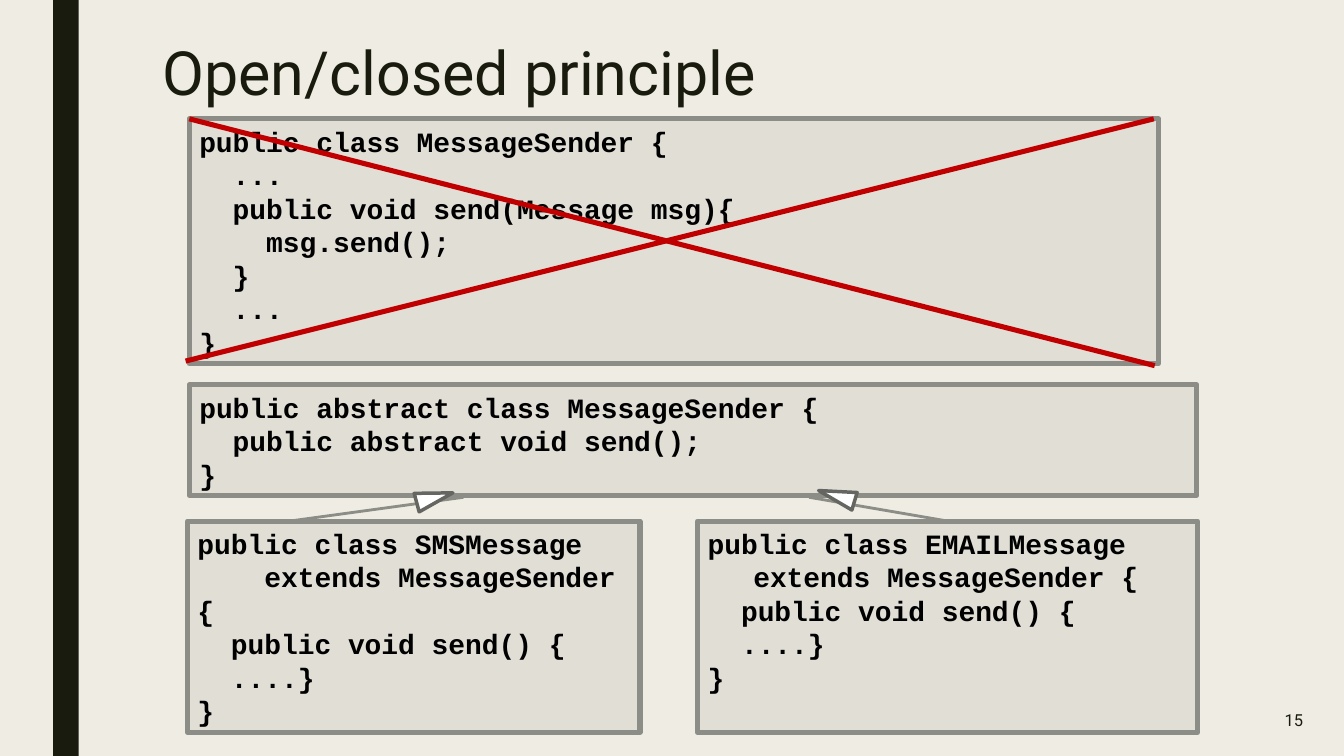
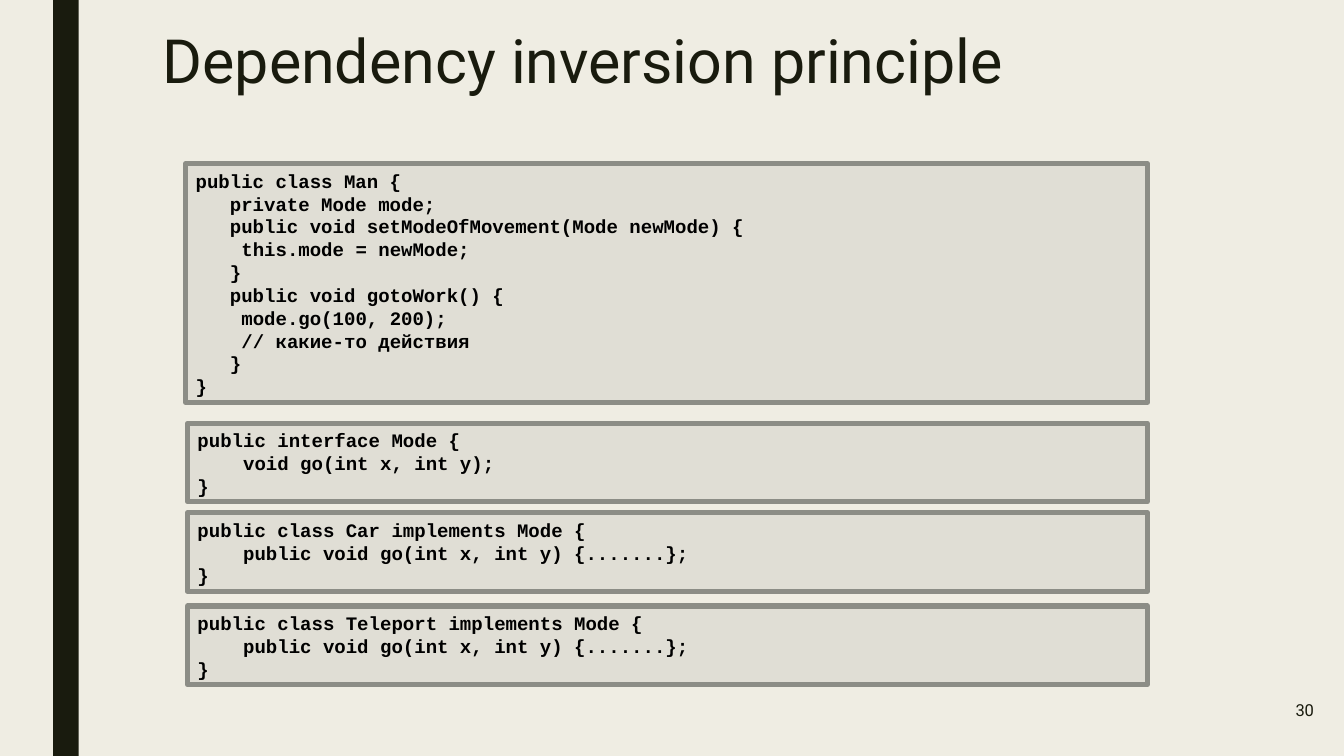
import lxml.etree
import pptx
import pptx.dml.color
import pptx.enum.shapes
import pptx.enum.text
import pptx.oxml.ns
import pptx.util

Inches = pptx.util.Inches
Pt = pptx.util.Pt
qn = pptx.oxml.ns.qn
SHAPE = pptx.enum.shapes.MSO_SHAPE
STRAIGHT = pptx.enum.shapes.MSO_CONNECTOR.STRAIGHT
ANCHOR = pptx.enum.text.MSO_ANCHOR
ALIGN = pptx.enum.text.PP_ALIGN
AUTO_SIZE = pptx.enum.text.MSO_AUTO_SIZE

COLORS = {
    "background": "EFEDE3",
    "ink": "191B0E",
    "frame": "8C8D86",
    "code": "000000",
    "cross": "C00000",
    "arrowhead": "FFFFFF",
    "arrow_edge": "656661",
}
CODE_OPACITY = 15
TAB_STOP = 0.5

SLIDES = [
    {
        "title": ("Open/closed principle", 0.43, 0.87),
        "number": ("15", 13.73, 7.66, 0.62, 0.42),
        "code_size": 22,
        "listings": [
            ((2.07, 1.3, 10.6, 2.68), """public class MessageSender {
  ...
  public void send(Message msg){
    msg.send();
  }
  ...
}"""),
            ((2.07, 4.21, 11.02, 1.21), """public abstract class MessageSender {
  public abstract void send();
}"""),
            ((2.05, 5.7, 4.95, 2.31), """public class SMSMessage
    extends MessageSender {
  public void send() {
  ....}
}"""),
            ((7.63, 5.7, 5.47, 2.31), """public class EMAILMessage
\textends MessageSender {
  public void send() {
  ....}
}"""),
        ],
    },
    {
        "title": ("Dependency inversion principle", 0.3, 1.07),
        "number": ("30", 13.02, 7.52, 1.45, 0.49),
        "code_size": 15,
        "listings": [
            ((2.03, 1.79, 10.52, 2.61), """public class Man {
   private Mode mode;
   public void setModeOfMovement(Mode newMode) {
\tthis.mode = newMode;
   }
   public void gotoWork() {
\tmode.go(100, 200);
\t// какие-то действия
   }
}"""),
            ((2.05, 4.63, 10.5, 0.86), """public interface Mode {
    void go(int x, int y);
}"""),
            ((2.05, 5.61, 10.5, 0.86), """public class Car implements Mode {
    public void go(int x, int y) {.......};
}"""),
            ((2.05, 6.63, 10.5, 0.86), """public class Teleport implements Mode {
    public void go(int x, int y) {.......};
}"""),
        ],
    },
]


def rgb(name):
    return pptx.dml.color.RGBColor.from_string(COLORS[name])


def style_font(paragraph, face, size, color, bold=False):
    paragraph.font.name = face
    paragraph.font.size = Pt(size)
    paragraph.font.bold = bold
    paragraph.font.color.rgb = rgb(color)


prs = pptx.Presentation()
prs.slide_width = Inches(14.7)
prs.slide_height = Inches(8.27)
prs.slide_master.background.fill.solid()
prs.slide_master.background.fill.fore_color.rgb = rgb("background")

code_boxes = []
for content in SLIDES:
    slide = prs.slides.add_slide(prs.slide_layouts[6])

    band = slide.shapes.add_shape(SHAPE.RECTANGLE, Inches(0.58), 0, Inches(0.28), prs.slide_height)
    band.shadow.inherit = False
    band.fill.solid()
    band.fill.fore_color.rgb = rgb("ink")
    band.line.fill.background()

    heading, top, height = content["title"]
    title = slide.shapes.add_textbox(Inches(1.68), Inches(top), Inches(11.57), Inches(height))
    title.text_frame.word_wrap = True
    title.text_frame.text = heading
    title.text_frame.paragraphs[0].line_spacing = 0.89
    style_font(title.text_frame.paragraphs[0], "Roboto", 48, "ink")

    digits, *place = content["number"]
    number = slide.shapes.add_textbox(*map(Inches, place))
    number.text_frame.word_wrap = True
    number.text_frame.vertical_anchor = ANCHOR.MIDDLE
    number.text_frame.text = digits
    number.text_frame.paragraphs[0].alignment = ALIGN.RIGHT
    style_font(number.text_frame.paragraphs[0], "Roboto", 13, "ink")

    for place, code in content["listings"]:
        code_box = slide.shapes.add_shape(SHAPE.RECTANGLE, *map(Inches, place))
        code_boxes.append(code_box)
        code_box.shadow.inherit = False
        code_box.fill.solid()
        code_box.fill.fore_color.rgb = rgb("frame")
        fill_color = code_box._element.spPr.find(qn("a:solidFill")).find(qn("a:srgbClr"))
        lxml.etree.SubElement(fill_color, qn("a:alpha"), val=str(CODE_OPACITY * 1000))
        code_box.line.color.rgb = rgb("frame")
        code_box.line.width = Pt(4)

        frame = code_box.text_frame
        frame.word_wrap = True
        frame.auto_size = AUTO_SIZE.SHAPE_TO_FIT_TEXT
        frame.vertical_anchor = ANCHOR.TOP
        frame.margin_left = frame.margin_right = Inches(0.11)
        frame.margin_top = frame.margin_bottom = Inches(0.06)
        frame.text = code
        for line in frame.paragraphs:
            line.alignment = ALIGN.LEFT
            if line.text.startswith("\t"):
                tabs = lxml.etree.SubElement(line._p.get_or_add_pPr(), qn("a:tabLst"))
                lxml.etree.SubElement(tabs, qn("a:tab"), pos=str(Inches(TAB_STOP)), algn="l")
            style_font(line, "Courier New", content["code_size"], "code", True)

principle = prs.slides[0]
email_box = code_boxes[3]
for start, end, color, width in [
    ((2.03, 3.95), (12.62, 1.3), "cross", 4),
    ((2.07, 1.3), (12.63, 4), "cross", 4),
    ((3.17, 5.7), (5.07, 5.44), "frame", 2.25),
    ((10.36, 5.7), (8.85, 5.44), "frame", 2.25),
]:
    stroke = principle.shapes.add_connector(STRAIGHT, *map(Inches, start + end))
    stroke.line.color.rgb = rgb(color)
    stroke.line.width = Pt(width)
    lxml.etree.SubElement(stroke._element.spPr, qn("a:effectLst"))
email_inheritance = stroke
email_inheritance.begin_connect(email_box, 0)

for left, top, width, rotation in [(4.65, 5.24, 0.21, 74.9), (9.05, 5.22, 0.2, 286.7)]:
    arrowhead = principle.shapes.add_shape(
        SHAPE.ISOSCELES_TRIANGLE, Inches(left), Inches(top), Inches(width), Inches(0.41))
    arrowhead.rotation = rotation
    arrowhead.shadow.inherit = False
    arrowhead.fill.solid()
    arrowhead.fill.fore_color.rgb = rgb("arrowhead")
    arrowhead.line.color.rgb = rgb("arrow_edge")
    arrowhead.line.width = Pt(2.75)

prs.save("out.pptx")
